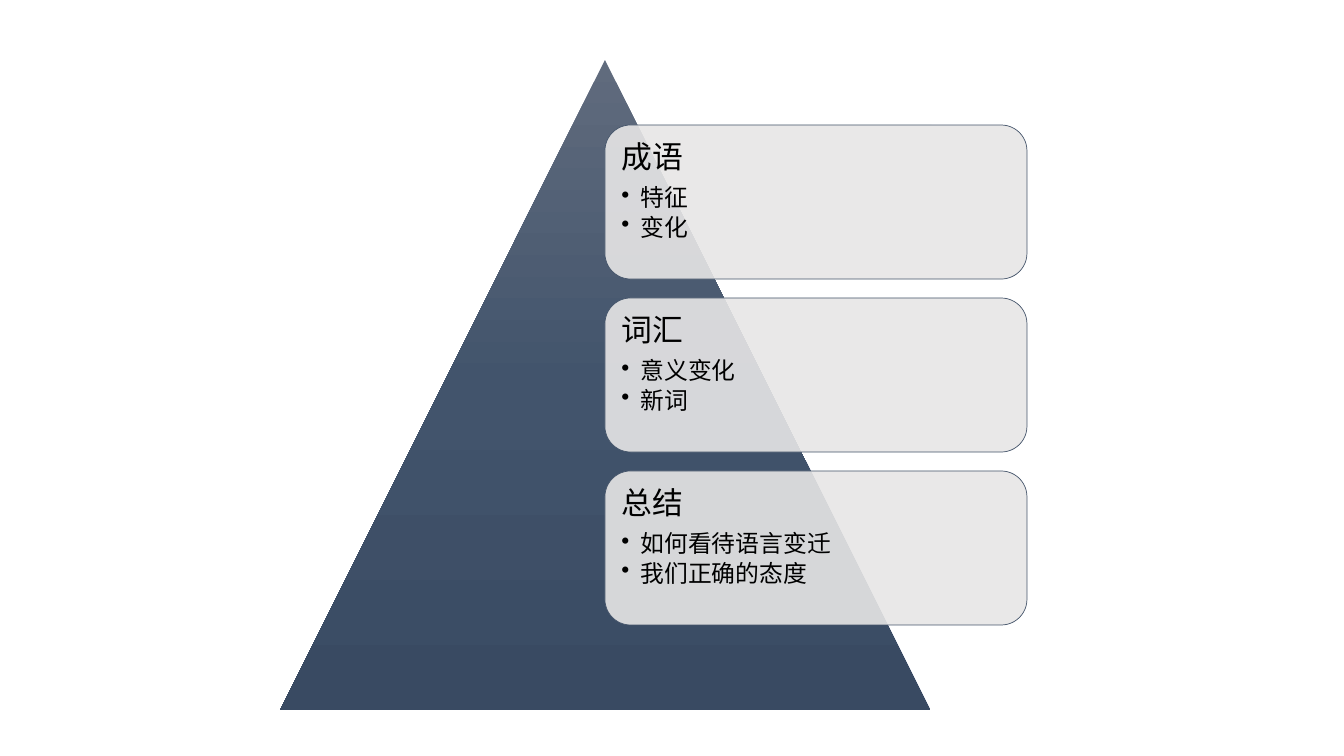
from lxml import etree
from pptx import Presentation
from pptx.dml.color import RGBColor
from pptx.enum.shapes import MSO_SHAPE
from pptx.enum.text import MSO_ANCHOR, PP_ALIGN
from pptx.oxml.ns import qn
from pptx.util import Pt

TRIANGLE = MSO_SHAPE.ISOSCELES_TRIANGLE
ROUNDED = MSO_SHAPE.ROUNDED_RECTANGLE
TOP, LEFT = MSO_ANCHOR.TOP, PP_ALIGN.LEFT

BLACK = RGBColor(0x00, 0x00, 0x00)
CARD_FILL = RGBColor(0xE7, 0xE6, 0xE6)
CARD_LINE = RGBColor(0x44, 0x54, 0x6A)
PYRAMID_STOPS = [
    (0, RGBColor(0x60, 0x6B, 0x7D)),
    (50, RGBColor(0x42, 0x54, 0x6C)),
    (100, RGBColor(0x39, 0x4A, 0x62)),
]
FONT = "Noto Sans CJK SC"

TOPICS = [
    ("成语", ["特征", "变化"]),
    ("词汇", ["意义变化", "新词"]),
    ("总结", ["如何看待语言变迁", "我们正确的态度"]),
]


def px(n):
    return round(n * 914400 / 100.8)


def add_pyramid(slide, x, y, w, h):
    sp = slide.shapes.add_shape(TRIANGLE, px(x), px(y), px(w), px(h))
    sp.shadow.inherit = False
    sp.line.fill.background()
    sp.fill.gradient()
    sp.fill.gradient_angle = 270
    # Three colour stops, light at the tip
    stops = sp._element.spPr.find(".//" + qn("a:gsLst"))
    stops.clear()
    for pos, color in PYRAMID_STOPS:
        gs = etree.SubElement(stops, qn("a:gs"), pos=str(pos * 1000))
        etree.SubElement(gs, qn("a:srgbClr"), val=str(color))


def add_text(p, text, size, space_after):
    p.alignment = LEFT
    p.line_spacing = 0.9
    p.space_after = Pt(space_after)
    r = p.add_run()
    r.text = text
    r.font.size = Pt(size)
    r.font.name = FONT
    r.font.color.rgb = BLACK
    etree.SubElement(r.font._element, qn("a:ea"), typeface=FONT)


def add_bullet(p):
    pPr = p._p.get_or_add_pPr()
    pPr.set("marL", str(px(19)))
    pPr.set("indent", str(-px(19)))
    etree.SubElement(pPr, qn("a:buChar"), char="•")


def add_card(slide, x, y, w, h, heading, points):
    sp = slide.shapes.add_shape(ROUNDED, px(x), px(y), px(w), px(h))
    sp.shadow.inherit = False
    sp.fill.solid()
    sp.fill.fore_color.rgb = CARD_FILL
    color = sp._element.spPr.find(qn("a:solidFill")).find(qn("a:srgbClr"))
    etree.SubElement(color, qn("a:alpha"), val="90000")
    sp.line.color.rgb = CARD_LINE
    sp.line.width = Pt(0.5)

    tf = sp.text_frame
    tf.word_wrap = True
    tf.vertical_anchor = TOP
    tf.margin_left = tf.margin_right = tf.margin_top = tf.margin_bottom = px(9)
    add_text(tf.paragraphs[0], heading, 22, 8)
    for point in points:
        p = tf.add_paragraph()
        add_bullet(p)
        add_text(p, point, 17, 3)


def add_cards(slide, x, y, w, h, gap):
    card_h = (h - gap * (len(TOPICS) - 1)) / len(TOPICS)
    for i, (heading, points) in enumerate(TOPICS):
        add_card(slide, x, y + i * (card_h + gap), w, card_h, heading, points)


def main():
    prs = Presentation()
    prs.slide_width, prs.slide_height = px(1344), px(756)
    slide = prs.slides.add_slide(prs.slide_layouts[6])
    add_pyramid(slide, 280, 60, 650, 650)
    add_cards(slide, 605, 125, 422, 500, 19)
    prs.save("out.pptx")


if __name__ == "__main__":
    main()
